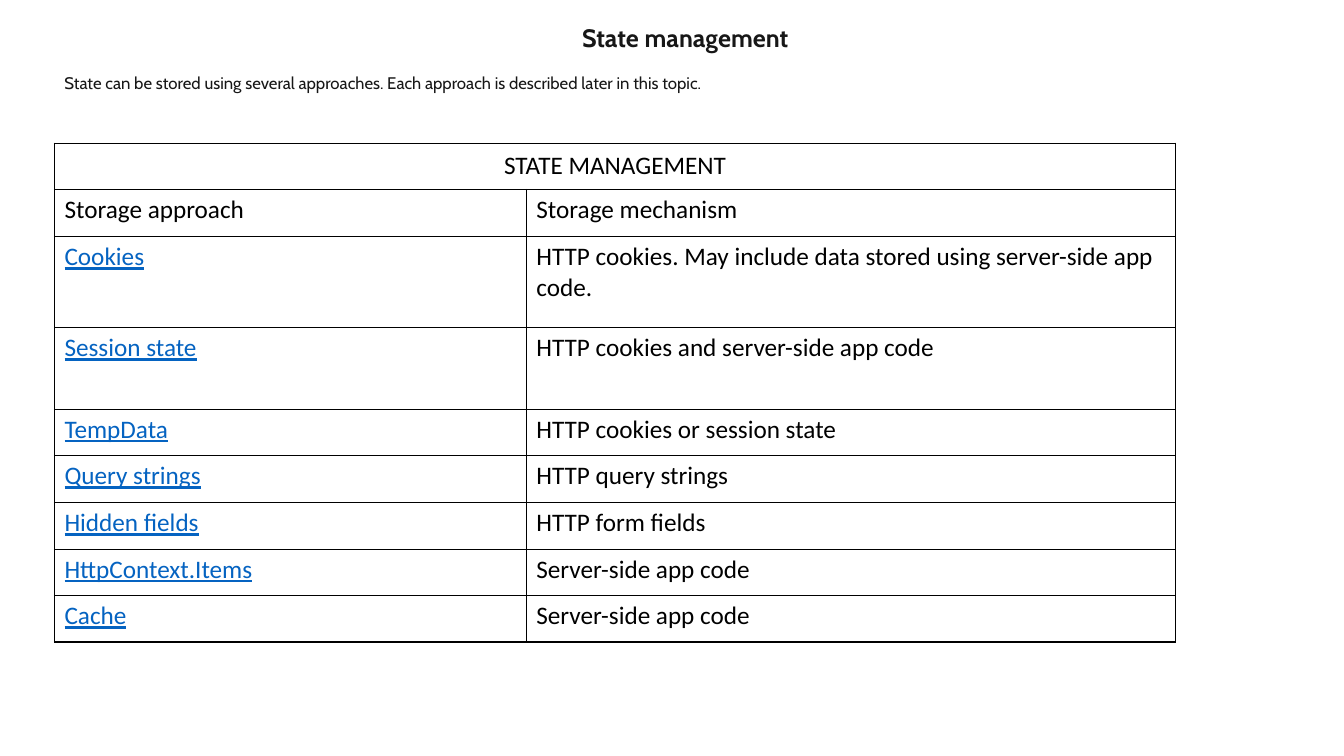
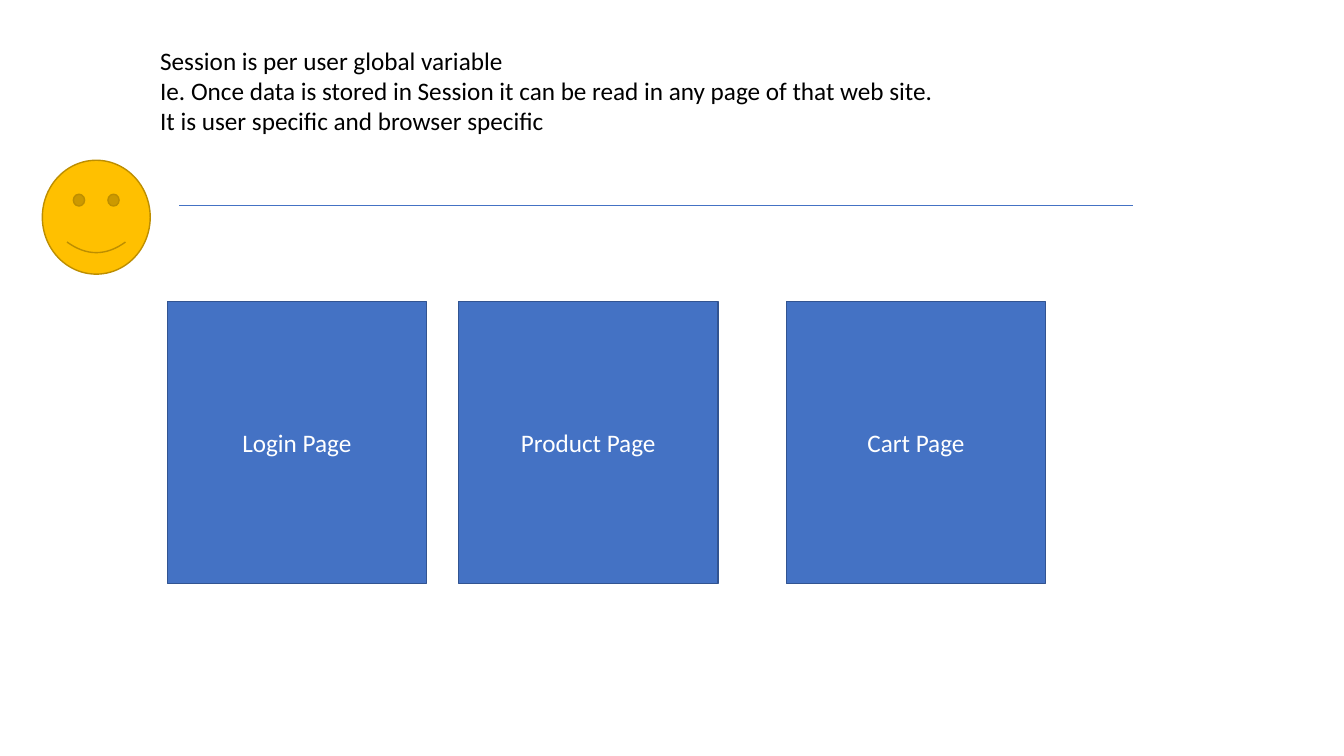
from lxml import etree
from pptx import Presentation, util as u
from pptx.dml.color import RGBColor
from pptx.enum import shapes, text
from pptx.oxml.ns import qn

PX = 9144  # one hundredth of an inch
BODY_FONT, HEADING_FONT = "Calibri", "Cabin"
WHITE = RGBColor(0xFF, 0xFF, 0xFF)
BLACK = RGBColor(0x00, 0x00, 0x00)
INK = RGBColor(0x17, 0x17, 0x17)
LINK = RGBColor(0x05, 0x63, 0xC1)
BLUE = RGBColor(0x44, 0x72, 0xC4)
DARK_BLUE = RGBColor(0x32, 0x54, 0x91)
GOLD = RGBColor(0xFF, 0xC0, 0x00)
DARK_GOLD = RGBColor(0xBD, 0x8E, 0x00)

STORAGE = [
    ("Cookies", "HTTP cookies. May include data stored using server-side app code."),
    ("Session state", "HTTP cookies and server-side app code"),
    ("TempData", "HTTP cookies or session state"),
    ("Query strings", "HTTP query strings"),
    ("Hidden fields", "HTTP form fields"),
    ("HttpContext.Items", "Server-side app code"),
    ("Cache", "Server-side app code"),
]
ROW_HEIGHTS = [46, 47, 90, 81, 46, 47, 46, 46, 46]
COLUMN_WIDTHS = [468, 644]
SESSION_NOTES = [
    "Session is per user global variable",
    "Ie. Once data is stored in Session it can be read in any page of that web site.",
    "It is user specific and browser specific",
]
PAGES = [("Login Page", 166), ("Product Page", 455), ("Cart Page", 780)]


def px(*lengths):
    return [u.Emu(length * PX) for length in lengths]


def style(paragraph, color, size=18, font=BODY_FONT, bold=False,
          underline=False, align=text.PP_ALIGN.LEFT):
    paragraph.alignment = align
    for run in paragraph.runs:
        run.font.name, run.font.size = font, u.Pt(size)
        run.font.bold, run.font.underline = bold, underline
        run.font.color.rgb = color


def add_box(slide, preset, box, fill, line=None):
    shape = slide.shapes.add_shape(preset, *px(*box))
    shape.shadow.inherit = False
    shape.fill.solid()
    shape.fill.fore_color.rgb = fill
    if line is None:
        shape.line.fill.background()
    else:
        shape.line.color.rgb = line
        shape.line.width = u.Pt(1)
    return shape


def add_heading(slide, title, subtitle):
    heading = add_box(slide, shapes.MSO_SHAPE.RECTANGLE, (54, 17, 1251, 111), WHITE)
    frame = heading.text_frame
    frame.vertical_anchor = text.MSO_ANCHOR.TOP
    frame.text = f"{title}\n{subtitle}"
    title_line, subtitle_line = frame.paragraphs
    style(title_line, INK, font=HEADING_FONT, bold=True, align=text.PP_ALIGN.CENTER)
    style(subtitle_line, INK, size=12, font=HEADING_FONT)
    subtitle_line.space_before = u.Pt(14.5)


def set_borders(cell):
    properties = cell._tc.get_or_add_tcPr()
    for position, side in enumerate(("lnL", "lnR", "lnT", "lnB")):
        border = etree.Element(qn(f"a:{side}"), w=str(u.Pt(1)))
        fill = etree.SubElement(border, qn("a:solidFill"))
        etree.SubElement(fill, qn("a:srgbClr"), val=str(BLACK))
        properties.insert(position, border)


def fill_cell(cell, words, **look):
    cell.text = words
    style(cell.text_frame.paragraphs[0], **look)


def add_storage_table(slide):
    box = px(54, 142, sum(COLUMN_WIDTHS), sum(ROW_HEIGHTS))
    table = slide.shapes.add_table(len(ROW_HEIGHTS), len(COLUMN_WIDTHS), *box).table
    table.first_row = table.horz_banding = False
    for column, width in zip(table.columns, px(*COLUMN_WIDTHS)):
        column.width = width
    for row, height in zip(table.rows, px(*ROW_HEIGHTS)):
        row.height = height
    for cell in table.iter_cells():
        cell.fill.background()
        set_borders(cell)

    caption = table.cell(0, 0)
    caption.merge(table.cell(0, 1))
    caption.vertical_anchor = text.MSO_ANCHOR.MIDDLE
    fill_cell(caption, "STATE MANAGEMENT", color=BLACK, align=text.PP_ALIGN.CENTER)
    fill_cell(table.cell(1, 0), "Storage approach", color=BLACK)
    fill_cell(table.cell(1, 1), "Storage mechanism", color=BLACK)
    for row, (approach, mechanism) in enumerate(STORAGE, start=2):
        fill_cell(table.cell(row, 0), approach, color=LINK, underline=True)
        fill_cell(table.cell(row, 1), mechanism, color=BLACK)


def add_page(slide, name, left):
    page = add_box(slide, shapes.MSO_SHAPE.RECTANGLE, (left, 299, 257, 280), BLUE, DARK_BLUE)
    page.text_frame.text = name
    page.text_frame.vertical_anchor = text.MSO_ANCHOR.MIDDLE
    style(page.text_frame.paragraphs[0], WHITE, align=text.PP_ALIGN.CENTER)


def add_divider(slide, left, right, y):
    divider = slide.shapes.add_connector(
        shapes.MSO_CONNECTOR.STRAIGHT, *px(left, y, right, y))
    divider.line.color.rgb = BLUE
    divider.line.width = u.Pt(0.5)
    etree.SubElement(divider._element.spPr, qn("a:effectLst"))


def add_notes_text(slide, lines):
    frame = slide.shapes.add_textbox(*px(149, 40, 1141, 101)).text_frame
    frame.word_wrap = True
    frame.text = "\n".join(lines)
    for paragraph in frame.paragraphs:
        style(paragraph, BLACK)


def build_state_slide(slide):
    add_heading(slide, "State management",
                "State can be stored using several approaches. "
                "Each approach is described later in this topic.")
    add_storage_table(slide)


def build_session_slide(slide):
    for name, left in PAGES:
        add_page(slide, name, left)
    add_box(slide, shapes.MSO_SHAPE.SMILEY_FACE, (42, 159, 107, 113), GOLD, DARK_GOLD)
    add_divider(slide, 178, 1124, 204)
    add_notes_text(slide, SESSION_NOTES)


def main():
    deck = Presentation()
    deck.slide_width, deck.slide_height = px(1333, 750)
    for build in (build_state_slide, build_session_slide):
        build(deck.slides.add_slide(deck.slide_layouts[6]))
    deck.save("out.pptx")


if __name__ == "__main__":
    main()
